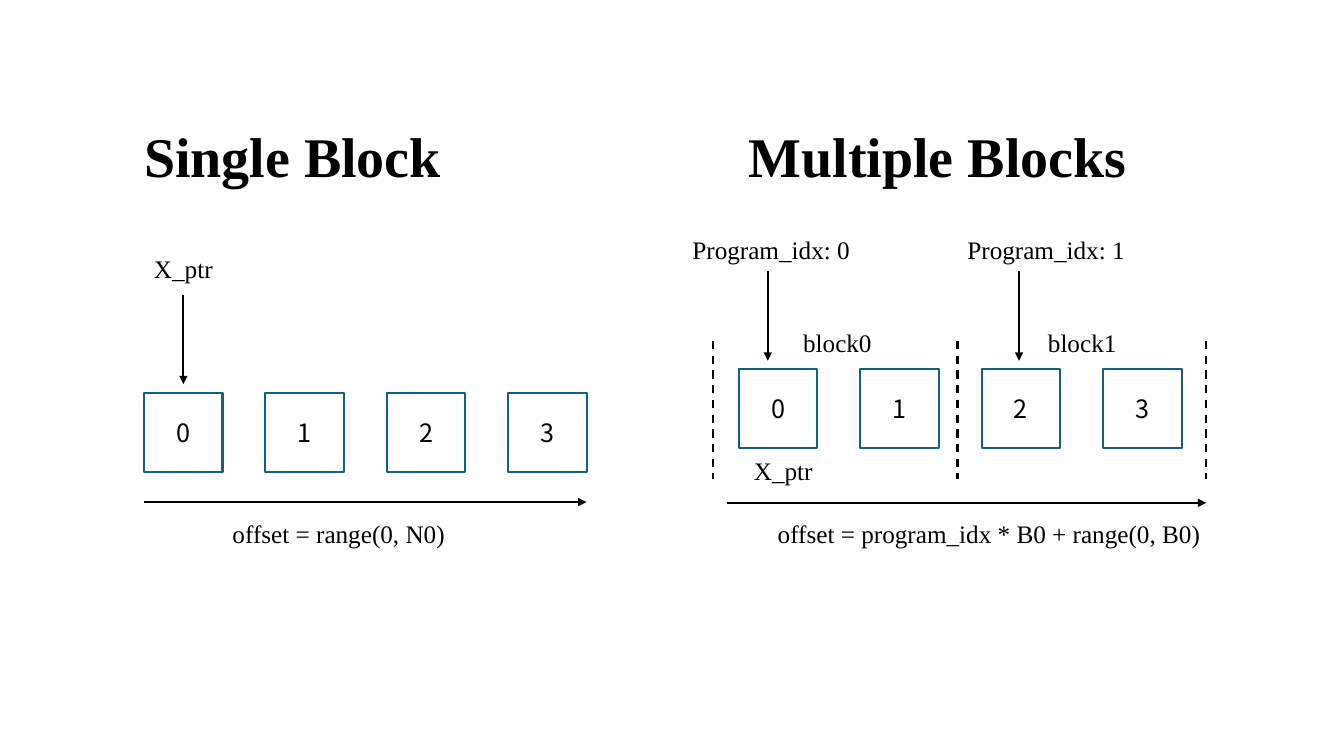
from lxml.etree import SubElement
from pptx import Presentation
from pptx.dml.color import RGBColor
from pptx.enum.dml import MSO_LINE_DASH_STYLE as Dash
from pptx.enum.shapes import MSO_CONNECTOR as Connector, MSO_SHAPE as Shape
from pptx.enum.text import MSO_ANCHOR as Anchor, MSO_AUTO_SIZE as AutoSize, PP_ALIGN as Align
from pptx.oxml.ns import qn
from pptx.util import Cm, Pt

BLACK = RGBColor(0x00, 0x00, 0x00)
WHITE = RGBColor(0xFF, 0xFF, 0xFF)
BLUE = RGBColor(0x15, 0x60, 0x82)
LABEL_FONT = "Times New Roman"
CELL_FONT = "Noto Sans CJK SC"
CELL_SIZE = 1.98
CELL_PITCH = 3.06
CELL_COUNT = 4


def style_text(paragraph, text, font_name, size=18, bold=False):
    paragraph.text = text
    font = paragraph.font
    font.name = font_name
    font.size = Pt(size)
    font.bold = bold
    font.color.rgb = BLACK


def add_label(slide, text, left, top, width, height=1.02, size=18, bold=False):
    box = slide.shapes.add_textbox(Cm(left), Cm(top), Cm(width), Cm(height))
    frame = box.text_frame
    frame.word_wrap = True
    frame.auto_size = AutoSize.SHAPE_TO_FIT_TEXT
    style_text(frame.paragraphs[0], text, LABEL_FONT, size, bold)


def add_title(slide, text, left):
    add_label(slide, text, left, 2.95, 11.15, 1.96, 40, True)


def add_cells(slide, left, top):
    for index in range(CELL_COUNT):
        cell = slide.shapes.add_shape(
            Shape.RECTANGLE, Cm(left + index * CELL_PITCH), Cm(top), Cm(CELL_SIZE), Cm(CELL_SIZE)
        )
        cell.shadow.inherit = False
        cell.fill.solid()
        cell.fill.fore_color.rgb = WHITE
        cell.line.color.rgb = BLUE
        cell.line.width = Pt(1.5)
        cell.text_frame.vertical_anchor = Anchor.MIDDLE
        paragraph = cell.text_frame.paragraphs[0]
        paragraph.alignment = Align.CENTER
        style_text(paragraph, str(index), CELL_FONT)


def add_line(slide, x1, y1, x2, y2):
    connector = slide.shapes.add_connector(Connector.STRAIGHT, Cm(x1), Cm(y1), Cm(x2), Cm(y2))
    connector.line.color.rgb = BLACK
    connector.line.width = Pt(1.5)
    SubElement(connector._element.spPr, qn("a:effectLst"))
    return connector


def add_arrow(slide, x1, y1, x2, y2):
    arrow = add_line(slide, x1, y1, x2, y2)
    SubElement(arrow.line._get_or_add_ln(), qn("a:tailEnd"), type="triangle")


def add_divider(slide, x):
    add_line(slide, x, 8.59, x, 12.07).line.dash_style = Dash.DASH


def add_single_block(slide):
    add_title(slide, "Single Block", 3.38)
    add_cells(slide, 3.63, 9.91)
    add_label(slide, "X_ptr", 3.63, 6.27, 3.05)
    add_arrow(slide, 4.62, 7.44, 4.62, 9.68)
    add_arrow(slide, 3.63, 12.65, 14.78, 12.65)
    add_label(slide, "offset = range(0, N0)", 5.61, 12.93, 9.42)


def add_multiple_blocks(slide):
    add_title(slide, "Multiple Blocks", 18.62)
    add_cells(slide, 18.62, 9.3)
    blocks = [(17.2, 19.35, 19.99), (24.13, 25.68, 26.16)]
    for index, (program_left, arrow_x, block_left) in enumerate(blocks):
        add_label(slide, f"Program_idx: {index}", program_left, 5.78, 4.6)
        add_arrow(slide, arrow_x, 6.83, arrow_x, 9.09)
        add_label(slide, f"block{index}", block_left, 8.13, 3.05)
    for x in (17.96, 24.13, 30.4):
        add_divider(slide, x)
    add_label(slide, "X_ptr", 18.75, 11.35, 3.05)
    add_arrow(slide, 18.31, 12.67, 30.4, 12.67)
    add_label(slide, "offset = program_idx * B0 + range(0, B0)", 19.35, 12.93, 12.12)


def main():
    presentation = Presentation()
    presentation.slide_width = Cm(33.87)
    presentation.slide_height = Cm(19.05)
    slide = presentation.slides.add_slide(presentation.slide_layouts[6])
    add_single_block(slide)
    add_multiple_blocks(slide)
    presentation.save("out.pptx")


if __name__ == "__main__":
    main()
